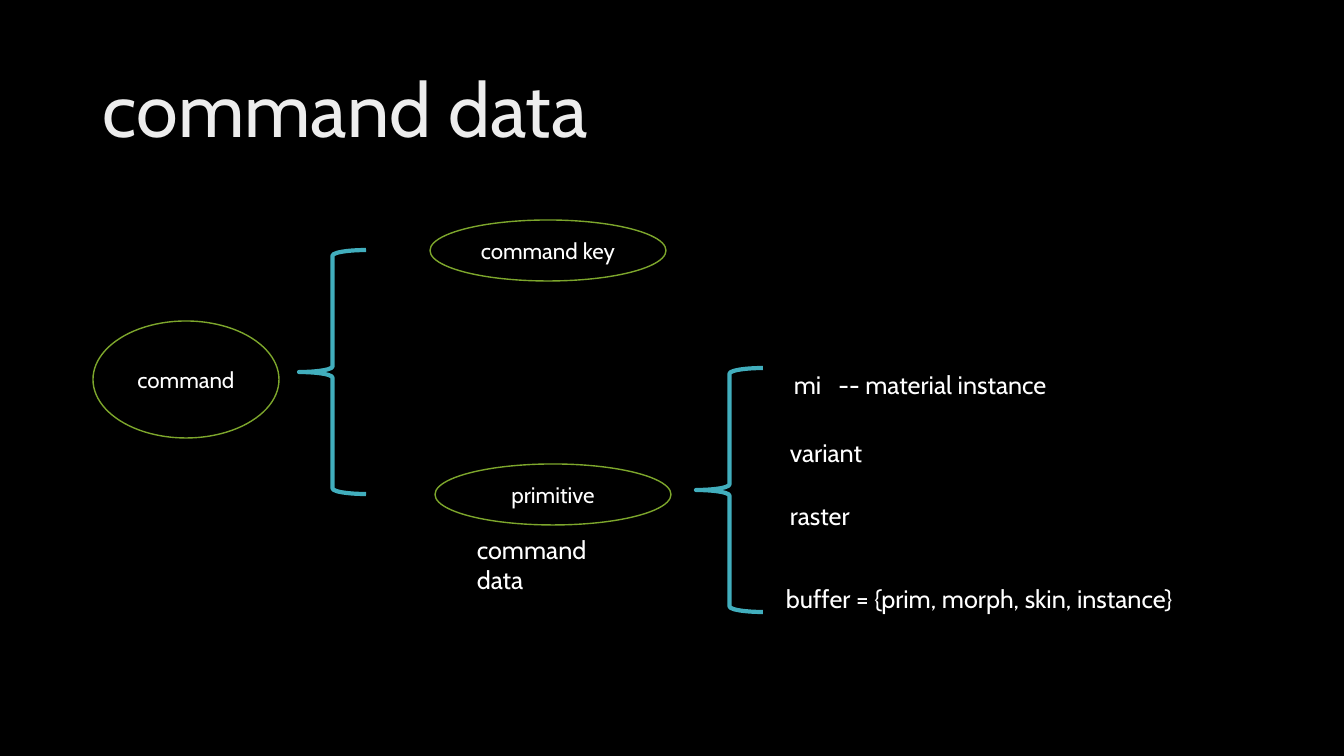
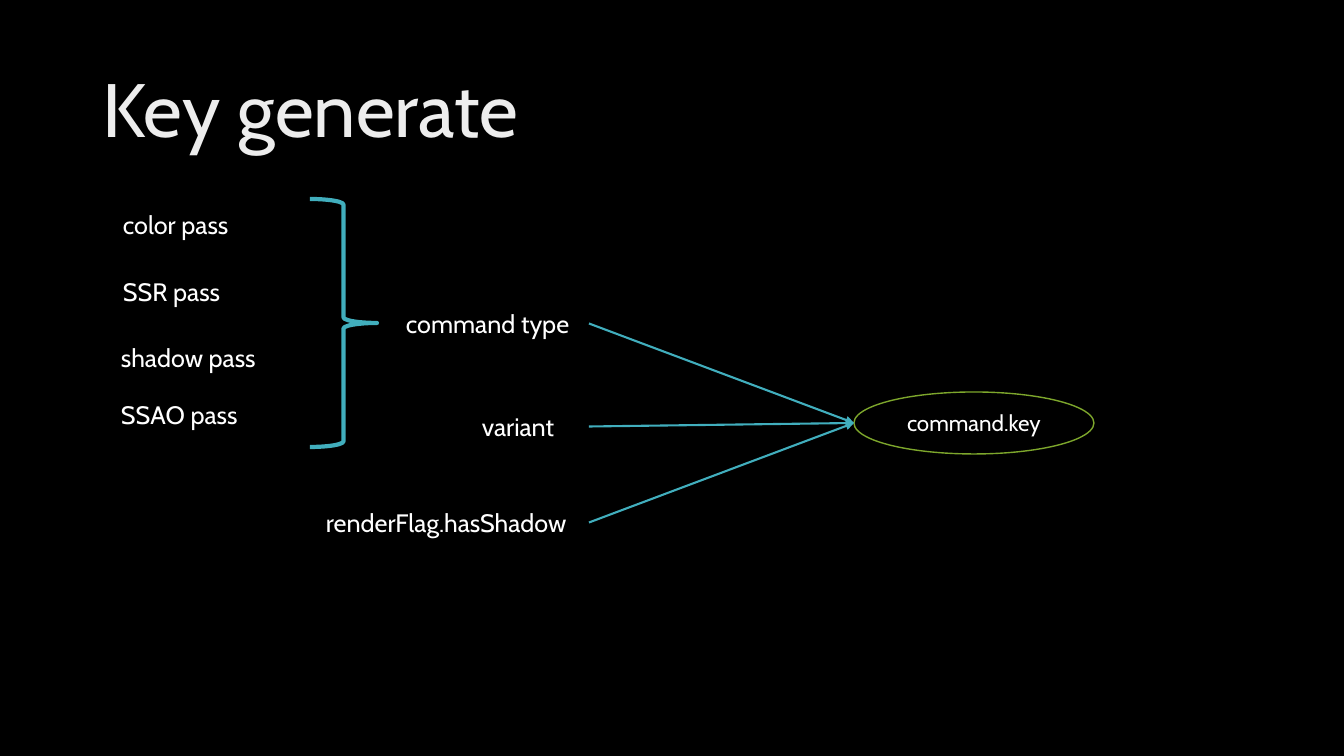
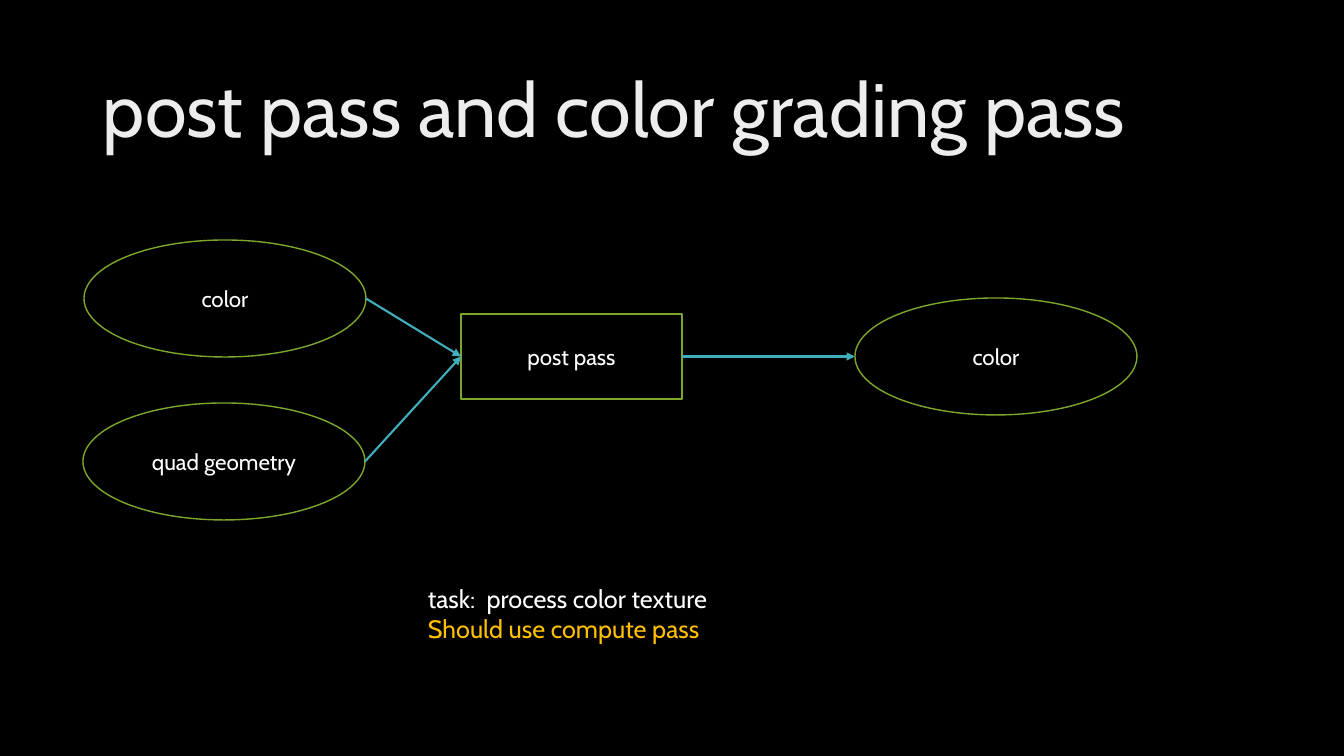
from lxml import etree
from pptx import Presentation
from pptx.dml.color import RGBColor
from pptx.enum.shapes import MSO_CONNECTOR, MSO_SHAPE as SHAPE
from pptx.enum.text import MSO_ANCHOR as ANCHOR, PP_ALIGN as ALIGN
from pptx.oxml.ns import qn
from pptx.util import Emu, Pt

W, H = 1344, 756
SCALE = 12192000 / W
FONT = "Cabin"
BLACK, WHITE, TITLE = "000000", "FFFFFF", "EDEDED"
GREEN, TEAL, AMBER = "7DA62C", "41AEBD", "FFC000"
TITLE_BOX = (93, 40, 1159, 146)
LINE_H, LABEL_PAD = 31, 10

# nodes: key -> (shape, box, text); labels: key -> (x, y, width, lines)
# braces: (box, rotation); links: (from key, to key)
SLIDES = [
    {
        "title": "command data",
        "nodes": {
            "command": (SHAPE.OVAL, (93, 321, 186, 117), "command"),
            "key": (SHAPE.OVAL, (430, 220, 236, 61), "command key"),
            "primitive": (SHAPE.OVAL, (435, 464, 236, 61), "primitive"),
        },
        "braces": [((299, 250, 67, 244), 180), ((696, 368, 67, 244), 180)],
        "labels": {
            "mi": (784, 364, 334, [("mi   -- material instance", WHITE)]),
            "variant": (780, 432, 114, [("variant", WHITE)]),
            "raster": (780, 495, 114, [("raster", WHITE)]),
            "buffer": (776, 578, 411,
                       [("buffer = {prim, morph, skin, instance}", WHITE)]),
            "data": (467, 529, 180, [("command data", WHITE)]),
        },
        "links": [],
    },
    {
        "title": "Key generate",
        "nodes": {
            "key": (SHAPE.OVAL, (854, 392, 240, 62), "command.key"),
        },
        "braces": [((310, 199, 67, 248), 0)],
        "labels": {
            "color": (113, 204, 166, [("color pass", WHITE)]),
            "ssr": (113, 271, 121, [("SSR pass", WHITE)]),
            "shadow": (111, 337, 166, [("shadow pass", WHITE)]),
            "ssao": (111, 394, 168, [("SSAO pass", WHITE)]),
            "type": (396, 303, 193, [("command type", WHITE)]),
            "variant": (472, 406, 117, [("variant", WHITE)]),
            "flag": (316, 502, 273, [("renderFlag.hasShadow", WHITE)]),
        },
        "links": [("type", "key"), ("variant", "key"), ("flag", "key")],
    },
    {
        "title": "post pass and color grading pass",
        "nodes": {
            "color in": (SHAPE.OVAL, (84, 240, 282, 117), "color"),
            "quad": (SHAPE.OVAL, (83, 403, 282, 117), "quad geometry"),
            "post": (SHAPE.RECTANGLE, (461, 314, 221, 85), "post pass"),
            "color out": (SHAPE.OVAL, (855, 298, 282, 117), "color"),
        },
        "braces": [],
        "labels": {
            "task": (418, 578, 313, [("task:  process color texture", WHITE),
                                     ("Should use compute pass", AMBER)]),
        },
        "links": [("color in", "post"), ("quad", "post"),
                  ("post", "color out")],
    },
]


def px(*values):
    return [Emu(round(v * SCALE)) for v in values]


def rgb(value):
    return RGBColor.from_string(value)


def add_run(p, text, size, color):
    r = p.add_run()
    r.text = text
    r.font.name, r.font.size = FONT, Pt(size)
    r.font.color.rgb = rgb(color)


def add_outline(s, kind, box, color, weight):
    """Add an unfilled preset shape."""
    sp = s.shapes.add_shape(kind, *px(*box))
    sp.shadow.inherit = False
    sp.fill.background()
    sp.line.color.rgb = rgb(color)
    sp.line.width = Pt(weight)
    return sp


def add_node(s, kind, box, text):
    sp = add_outline(s, kind, box, GREEN, 1)
    tf = sp.text_frame
    tf.word_wrap, tf.vertical_anchor = True, ANCHOR.MIDDLE
    p = tf.paragraphs[0]
    p.alignment = ALIGN.CENTER
    add_run(p, text, 16, WHITE)
    return sp


def add_text(s, box, lines, size, anchor=ANCHOR.TOP, spacing=None):
    sp = s.shapes.add_textbox(*px(*box))
    tf = sp.text_frame
    tf.word_wrap, tf.vertical_anchor = True, anchor
    for i, (text, color) in enumerate(lines):
        p = tf.add_paragraph() if i else tf.paragraphs[0]
        p.line_spacing = spacing
        add_run(p, text, size, color)
    return sp


def add_arrow(s, start, end):
    """Join the right middle of one shape to the left middle of another."""
    c = s.shapes.add_connector(
        MSO_CONNECTOR.STRAIGHT,
        start.left + start.width, start.top + start.height // 2,
        end.left, end.top + end.height // 2)
    c.line.color.rgb = rgb(TEAL)
    c.line.width = Pt(1.5)
    etree.SubElement(c.line._get_or_add_ln(), qn("a:tailEnd"), type="triangle")
    etree.SubElement(c._element.spPr, qn("a:effectLst"))


def add_slide(prs, data):
    s = prs.slides.add_slide(prs.slide_layouts[6])
    s.background.fill.solid()
    s.background.fill.fore_color.rgb = rgb(BLACK)
    add_text(s, TITLE_BOX, [(data["title"], TITLE)], 54, ANCHOR.MIDDLE, 0.9)
    parts = {key: add_node(s, *node) for key, node in data["nodes"].items()}
    for box, rotation in data["braces"]:
        add_outline(s, SHAPE.RIGHT_BRACE, box, TEAL, 3).rotation = rotation
    for key, (x, y, w, lines) in data["labels"].items():
        box = (x, y, w, LABEL_PAD + LINE_H * len(lines))
        parts[key] = add_text(s, box, lines, 18)
    for start, end in data["links"]:
        add_arrow(s, parts[start], parts[end])


def main():
    prs = Presentation()
    prs.slide_width, prs.slide_height = px(W, H)
    for data in SLIDES:
        add_slide(prs, data)
    prs.save("out.pptx")


if __name__ == "__main__":
    main()
